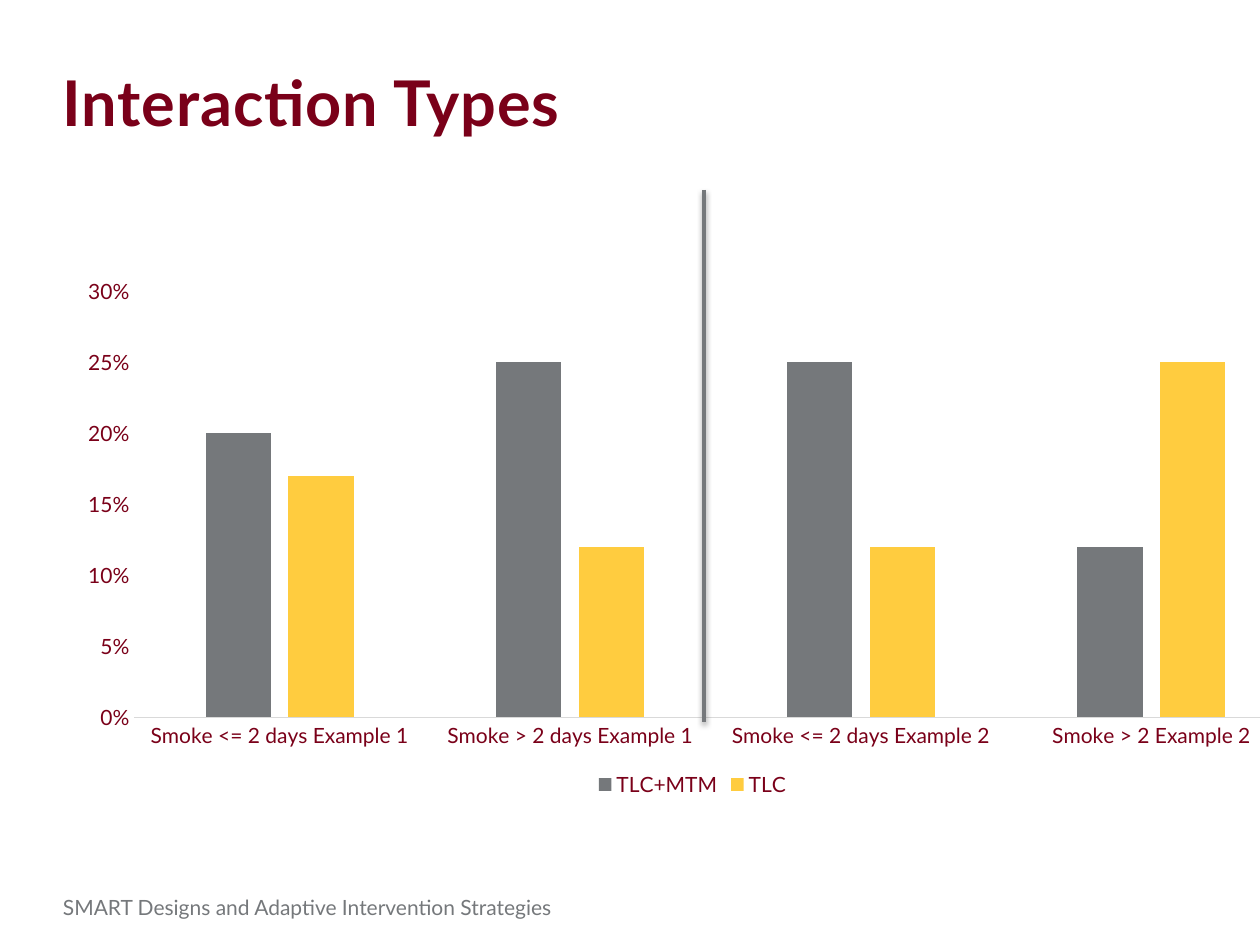
"""Build the Interaction Types slide with a clustered column chart and a divider."""
from lxml import etree
from pptx import Presentation
from pptx.chart.data import CategoryChartData
from pptx.dml.color import RGBColor
from pptx.enum.chart import XL_CHART_TYPE, XL_LEGEND_POSITION, XL_TICK_MARK
from pptx.enum.shapes import MSO_CONNECTOR
from pptx.oxml import parse_xml
from pptx.oxml.ns import nsdecls, qn
from pptx.util import Pt

COLUMN_CLUSTERED = XL_CHART_TYPE.COLUMN_CLUSTERED
LEGEND_BOTTOM = XL_LEGEND_POSITION.BOTTOM
NO_TICKS = XL_TICK_MARK.NONE
STRAIGHT = MSO_CONNECTOR.STRAIGHT

MAROON = RGBColor(0x7A, 0x00, 0x19)
GRAY = RGBColor(0x75, 0x78, 0x7B)
GOLD = RGBColor(0xFF, 0xCC, 0x3F)
AXIS_GRAY = RGBColor(0xD9, 0xD9, 0xD9)
FONT = "Lato"
EMU_PER_PX = 914400 / 126

TITLE = "Interaction Types"
FOOTER = "SMART Designs and Adaptive Intervention Strategies"
CATEGORIES = [
    "Smoke <= 2 days Example 1",
    "Smoke > 2 days Example 1",
    "Smoke <= 2 days Example 2",
    "Smoke > 2 Example 2",
]
SERIES = [
    ("TLC+MTM", (0.20, 0.25, 0.25, 0.12), GRAY),
    ("TLC", (0.17, 0.12, 0.12, 0.25), GOLD),
]

SLIDE_SIZE = (1260, 945)
TITLE_BOX = (63, 63, 1134, 96)
FOOTER_BOX = (63, 895, 842, 39)
CHART_BOX = (63, 268, 1259, 534)
DIVIDER = (704, 190, 704, 722)


def px(*lengths):
    return [round(length * EMU_PER_PX) for length in lengths]


def style_font(font, size, color, bold=False):
    font.name = FONT
    font.size = Pt(size)
    font.bold = bold
    font.color.rgb = color


def add_text(slide, text, box, size, color, bold=False, spacing=0):
    frame = slide.shapes.add_textbox(*px(*box)).text_frame
    frame.word_wrap = True
    frame.margin_left = frame.margin_top = frame.margin_right = frame.margin_bottom = 0
    run = frame.paragraphs[0].add_run()
    run.text = text
    style_font(run.font, size, color, bold)
    if spacing:
        run._r.get_or_add_rPr().set("spc", str(round(spacing * 100)))


def add_chart(slide):
    data = CategoryChartData(number_format="0%")
    data.categories = CATEGORIES
    for name, values, _ in SERIES:
        data.add_series(name, values)
    chart = slide.shapes.add_chart(COLUMN_CLUSTERED, *px(*CHART_BOX), data).chart
    chart.has_title = False
    style_font(chart.font, 12, MAROON)

    plot = chart.plots[0]
    plot.gap_width = 219
    plot.overlap = -27
    plot.vary_by_categories = False
    for series, (_, _, color) in zip(plot.series, SERIES):
        series.format.fill.solid()
        series.format.fill.fore_color.rgb = color

    for axis in (chart.category_axis, chart.value_axis):
        axis.has_major_gridlines = False
        axis.major_tick_mark = axis.minor_tick_mark = NO_TICKS
        style_font(axis.tick_labels.font, 12, MAROON)
    chart.category_axis.format.line.color.rgb = AXIS_GRAY
    chart.category_axis.format.line.width = Pt(0.75)

    value_axis = chart.value_axis
    value_axis.format.line.fill.background()
    value_axis.minimum_scale = 0
    value_axis.maximum_scale = 0.3
    value_axis.major_unit = 0.05
    value_axis.tick_labels.number_format = "0%"
    value_axis.tick_labels.number_format_is_linked = False

    chart.has_legend = True
    chart.legend.position = LEGEND_BOTTOM
    chart.legend.include_in_layout = False
    style_font(chart.legend.font, 12, MAROON)


def add_divider(slide):
    line = slide.shapes.add_connector(STRAIGHT, *px(*DIVIDER))
    line.line.color.rgb = GRAY
    line.line.width = Pt(2)
    effects = parse_xml(f"<a:effectLst {nsdecls('a')}/>")
    shadow = etree.SubElement(
        effects, qn("a:outerShdw"), blurRad=str(Pt(3.1)), dist=str(Pt(1.6)),
        dir="5400000", rotWithShape="0")
    black = etree.SubElement(shadow, qn("a:srgbClr"), val="000000")
    etree.SubElement(black, qn("a:alpha"), val="38000")
    line._element.spPr.append(effects)


def main():
    presentation = Presentation()
    presentation.slide_width, presentation.slide_height = px(*SLIDE_SIZE)
    slide = presentation.slides.add_slide(presentation.slide_layouts[6])
    add_text(slide, FOOTER, FOOTER_BOX, size=12, color=GRAY)
    add_text(slide, TITLE, TITLE_BOX, size=36, color=MAROON, bold=True, spacing=0.5)
    add_chart(slide)
    add_divider(slide)
    presentation.save("out.pptx")


if __name__ == "__main__":
    main()
